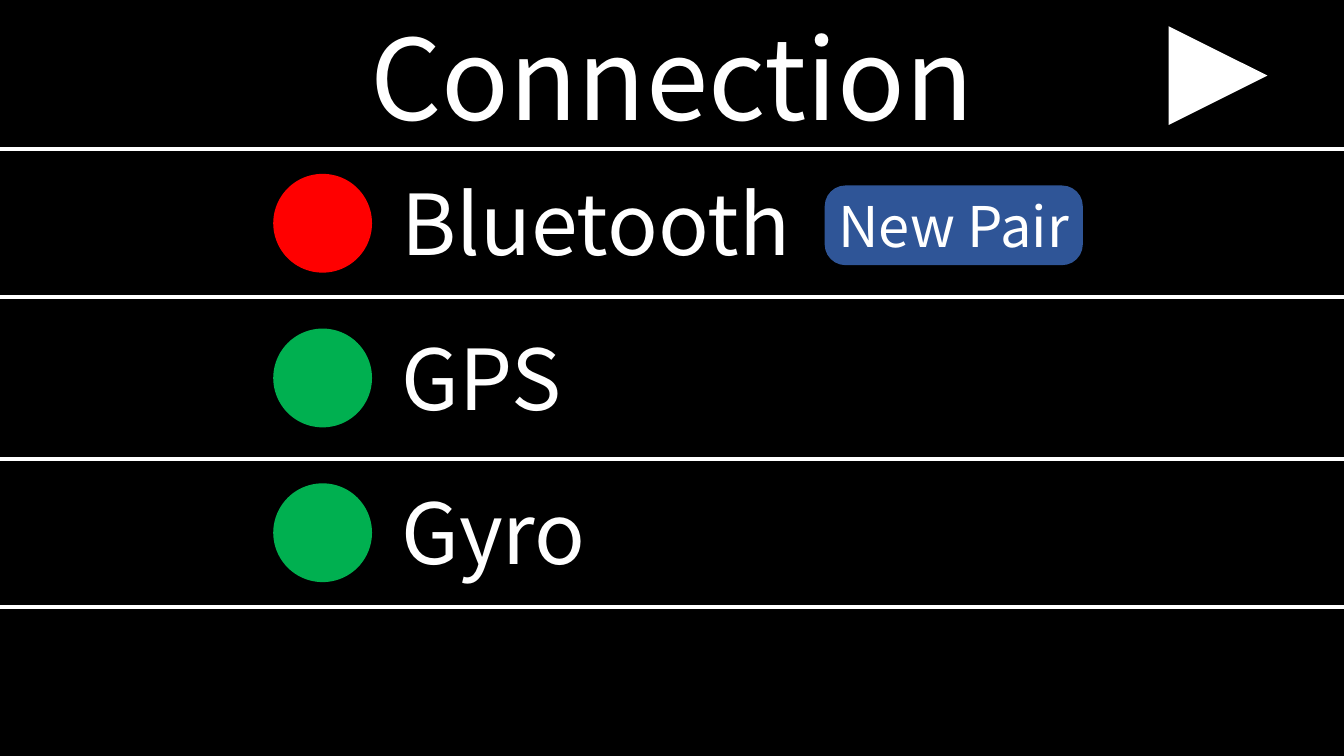
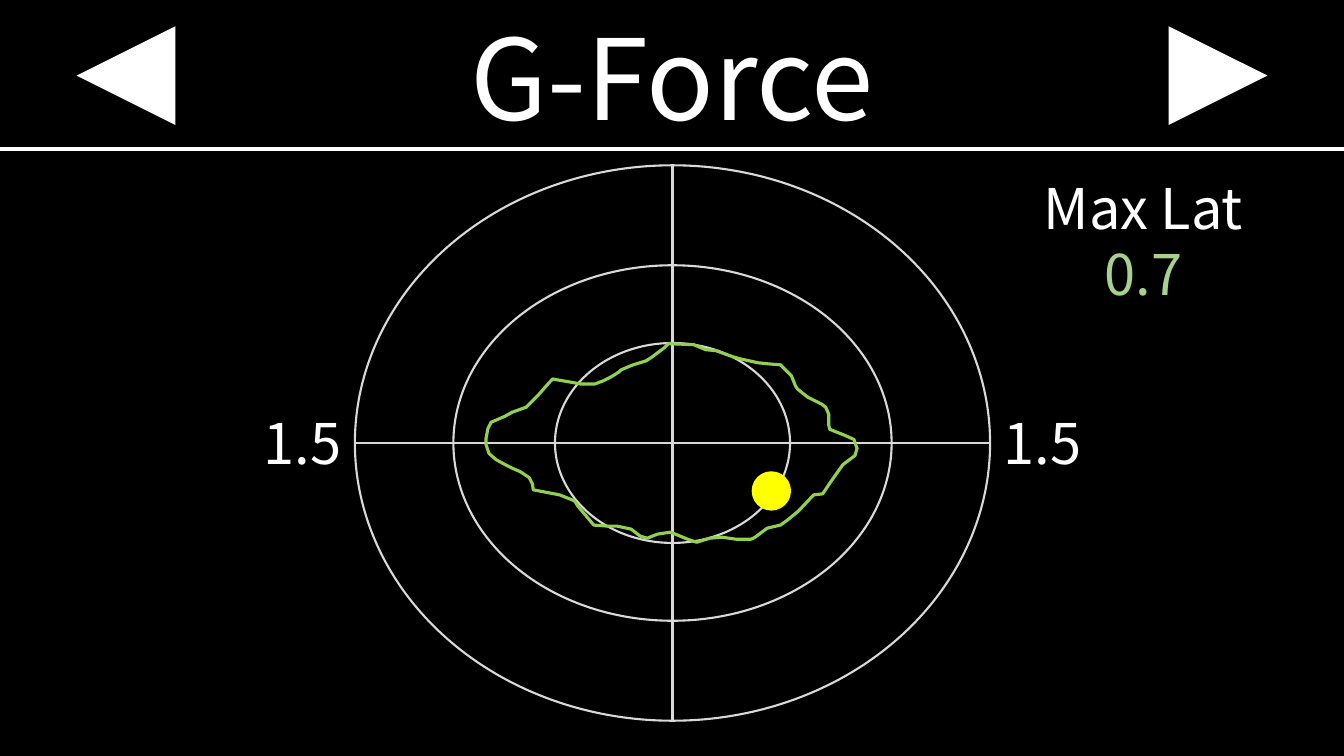
from lxml import etree
from pptx import Presentation
from pptx.dml.color import RGBColor
from pptx.enum.shapes import MSO_CONNECTOR, MSO_SHAPE
from pptx.enum.text import MSO_ANCHOR, MSO_AUTO_SIZE, PP_ALIGN
from pptx.oxml.ns import qn
from pptx.util import Inches, Pt

OVAL = MSO_SHAPE.OVAL
TRIANGLE = MSO_SHAPE.ISOSCELES_TRIANGLE
ROUNDED = MSO_SHAPE.ROUNDED_RECTANGLE
STRAIGHT = MSO_CONNECTOR.STRAIGHT
MIDDLE = MSO_ANCHOR.MIDDLE
NO_AUTOFIT = MSO_AUTO_SIZE.NONE
LEFT, CENTER = PP_ALIGN.LEFT, PP_ALIGN.CENTER

WIDTH, HEIGHT = 13.33, 7.5
HEADER_HEIGHT = 1.48
LAMP_SIZE = 0.98
FONT = "Noto Sans CJK KR"
COLORS = {
    "background": "000000", "text": "FFFFFF", "badge": "2F5597",
    "offline": "FF0000", "online": "00B050", "grid": "D9D9D9",
    "trace": "92D050", "value": "A9D18E", "marker": "FFFF00",
}
TRACE_POINTS = [
    (368, 104), (366, 111), (354, 120), (342, 137), (334, 149), (325, 150),
    (310, 166), (299, 175), (292, 180), (279, 183), (267, 192), (263, 194),
    (248, 194), (234, 192), (222, 193), (209, 197), (200, 194), (183, 187),
    (170, 189), (160, 193), (153, 191), (144, 184), (130, 181), (121, 181),
    (107, 180), (91, 161), (88, 156), (73, 150), (47, 145), (46, 139),
    (43, 133), (34, 127), (27, 124), (19, 120), (10, 115), (3, 109),
    (0, 100), (0, 94), (2, 84), (5, 78), (19, 72), (26, 68), (40, 63),
    (51, 52), (58, 44), (66, 35), (77, 37), (83, 38), (94, 40), (108, 40),
    (116, 37), (124, 33), (132, 28), (134, 26), (141, 23), (146, 21),
    (159, 17), (165, 13), (177, 4), (181, 0), (206, 1), (218, 6), (228, 7),
    (245, 13), (252, 15), (270, 19), (280, 20), (292, 21), (301, 30),
    (303, 32), (307, 42), (309, 45), (319, 53), (325, 56), (333, 60),
    (337, 63), (340, 70), (340, 81), (341, 85), (356, 91), (365, 95),
]


def rgb(name):
    """Return the named colour of the palette."""
    return RGBColor.from_string(COLORS[name])


def place(shape, left, top, width, height):
    """Move and size a shape, in inches."""
    shape.left, shape.top = Inches(left), Inches(top)
    shape.width, shape.height = Inches(width), Inches(height)


def write_text(shape, text, size=40, colors=("text",), align=CENTER,
               spacing=None, wrap=True):
    """Write lines of text, vertically centred, with one colour for each line."""
    frame = shape.text_frame
    frame.text = text
    frame.word_wrap = wrap
    frame.auto_size = NO_AUTOFIT
    frame.vertical_anchor = MIDDLE
    for paragraph, color in zip(frame.paragraphs, colors):
        paragraph.alignment = align
        if spacing:
            paragraph.line_spacing = Pt(spacing)
        font = paragraph.runs[0].font
        font.name, font.size = FONT, Pt(size)
        font.color.rgb = rgb(color)


def add_label(slide, text, box, **text_format):
    """Add a text box with formatted text."""
    label = slide.shapes.add_textbox(*map(Inches, box))
    write_text(label, text, **text_format)


def style_shape(shape, fill=None, line=None, line_width=1.5):
    """Give a shape a flat fill and outline without shadow."""
    shape.shadow.inherit = False
    if fill:
        shape.fill.solid()
        shape.fill.fore_color.rgb = rgb(fill)
    else:
        shape.fill.background()
    if line:
        shape.line.color.rgb = rgb(line)
        shape.line.width = Pt(line_width)
    else:
        shape.line.fill.background()


def add_shape(slide, kind, box, **style):
    """Add a flat preset shape."""
    shape = slide.shapes.add_shape(kind, *map(Inches, box))
    style_shape(shape, **style)
    return shape


def add_centered(slide, kind, center, size, **style):
    """Add a flat preset shape around a centre point."""
    (x, y), (width, height) = center, size
    box = (x - width / 2, y - height / 2, width, height)
    return add_shape(slide, kind, box, **style)


def add_line(slide, start, end, color="text", width=3):
    """Add a straight line without shadow."""
    line = slide.shapes.add_connector(STRAIGHT, *map(Inches, (*start, *end)))
    line.line.color.rgb = rgb(color)
    line.line.width = Pt(width)
    etree.SubElement(line._element.spPr, qn("a:effectLst"))


def add_rule(slide, top):
    """Add a rule across the whole slide."""
    add_line(slide, (0, top), (WIDTH, top))


def add_header(slide, title, title_width, arrows):
    """Place the title, its rule and the navigation arrows."""
    place(slide.shapes.title, (WIDTH - title_width) / 2, 0.03, title_width, 1.45)
    write_text(slide.shapes.title, title, size=80)
    add_rule(slide, HEADER_HEIGHT)
    margin = 1.25
    positions = {"back": (margin, 270), "next": (WIDTH - margin, 90)}
    for arrow in arrows:
        x, rotation = positions[arrow]
        triangle = add_centered(slide, TRIANGLE, (x, 0.75),
                                (LAMP_SIZE, LAMP_SIZE), fill="text")
        triangle.rotation = rotation


def add_status_row(slide, top, bottom, name, state, action=None):
    """Add a row with lamp, name, optional button and rule below."""
    middle = (top + bottom) / 2
    add_centered(slide, OVAL, (3.2, middle), (LAMP_SIZE, LAMP_SIZE), fill=state)
    add_label(slide, name, (3.88, middle - 0.57, 4.12, 1.11), size=60, align=LEFT)
    if action:
        button = add_centered(slide, ROUNDED, (9.46, middle + 0.02),
                              (2.56, 0.79), fill="badge")
        button.adjustments[0] = 0.26
        write_text(button, action, wrap=False)
    add_rule(slide, bottom)


def add_dial(slide, left, top, width, height):
    """Add the rings, the cross and the scale labels of the dial."""
    x, y = left + width / 2, top + height / 2
    for share_x, share_y in ((1, 1), (0.69, 0.64), (0.37, 0.36)):
        add_centered(slide, OVAL, (x, y), (width * share_x, height * share_y),
                     line="grid")
    add_line(slide, (left, y), (left + width, y), "grid", 1.5)
    add_line(slide, (x, top), (x, top + height), "grid", 1.5)
    label_width = 1.04
    for label_left in (left - label_width, left + width):
        add_label(slide, "1.5", (label_left, y - 0.39, label_width, 0.77))


def add_trace(slide, left, top, width, height):
    """Add the closed outline of the measured forces, scaled to its box."""
    columns = max(x for x, y in TRACE_POINTS)
    rows = max(y for x, y in TRACE_POINTS)
    points = [(Inches(left + width * x / columns), Inches(top + height * y / rows))
              for x, y in TRACE_POINTS]
    builder = slide.shapes.build_freeform(*points[0])
    builder.add_line_segments(points[1:], close=True)
    style_shape(builder.convert_to_shape(), line="trace", line_width=2.25)


def build_connection(slide):
    """Build the list of connection states."""
    add_header(slide, "Connection", 6.25, ["next"])
    rules = (HEADER_HEIGHT, 2.95, 4.55, 6.02)
    rows = (("Bluetooth", "offline", "New Pair"), ("GPS", "online"), ("Gyro", "online"))
    for top, bottom, row in zip(rules, rules[1:], rows):
        add_status_row(slide, top, bottom, *row)


def build_g_force(slide):
    """Build the dial of lateral and longitudinal forces."""
    add_header(slide, "G-Force", 5.34, ["back", "next"])
    add_dial(slide, 3.52, 1.64, 6.3, 5.51)
    add_centered(slide, OVAL, (7.65, 4.87), (0.39, 0.39), fill="marker")
    add_trace(slide, 4.82, 3.41, 3.68, 1.97)
    add_label(slide, "Max Lat\n0.7", (9.82, 1.66, 3.04, 1.45),
              colors=("text", "value"), spacing=47)


def main():
    """Build and save the presentation."""
    presentation = Presentation()
    presentation.slide_width = Inches(WIDTH)
    presentation.slide_height = Inches(HEIGHT)
    background = presentation.slide_master.background.fill
    background.solid()
    background.fore_color.rgb = rgb("background")
    title_only = presentation.slide_layouts[5]
    for build in (build_connection, build_g_force):
        build(presentation.slides.add_slide(title_only))
    presentation.save("out.pptx")


if __name__ == "__main__":
    main()
